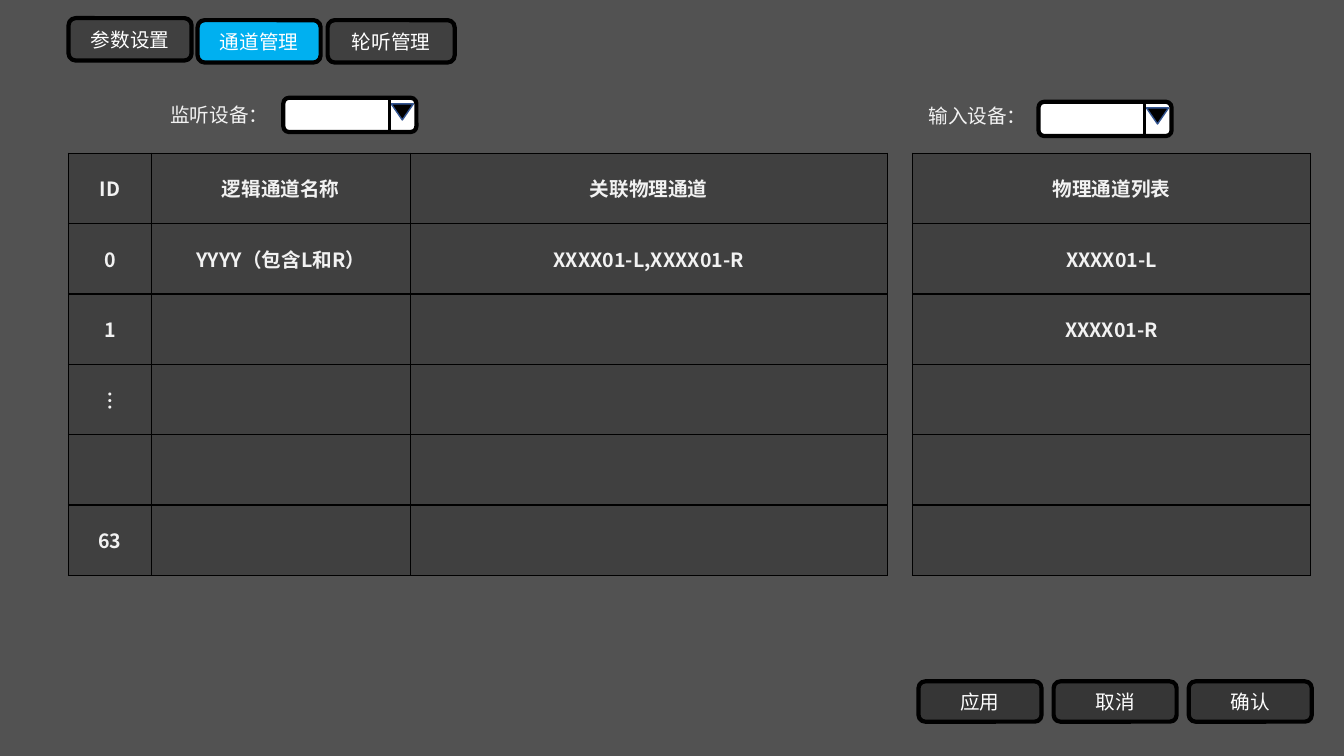
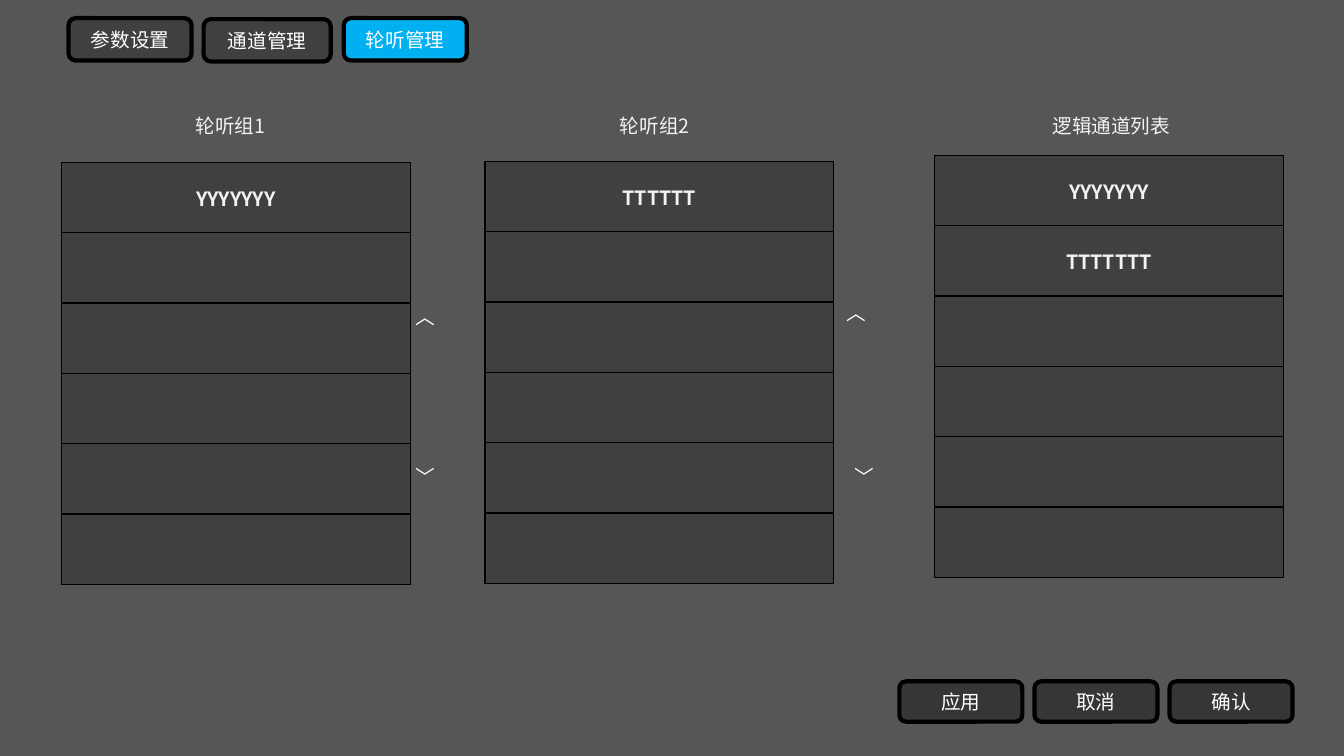
from lxml import etree
from pptx import Presentation
from pptx.dml.color import RGBColor
from pptx.enum import shapes, text
from pptx.oxml.ns import qn
from pptx.util import Inches, Pt

FONT = "Noto Sans CJK SC"
BLACK, WHITE, LIGHT = "000000", "FFFFFF", "F2F2F2"
PANEL, BUTTON, ACTIVE = "404040", "363636", "00B0F0"
ROWS, ROW_H = 6, 4.19 / 6
BUTTON_W, BUTTON_PITCH = 1.22, 1.34
TABLE_W = 3.46


def rgb(value):
    return RGBColor.from_string(value)


def write(tf, content, color=LIGHT, size=14, bold=False, align=None):
    p = tf.paragraphs[0]
    p.alignment = align
    r = p.add_run()
    r.text = content
    font = r.font
    font.name, font.size, font.bold = FONT, Pt(size), bold
    font.color.rgb = rgb(color)
    etree.SubElement(r._r.get_or_add_rPr(), qn("a:ea"), typeface=FONT)


def add_label(s, x, y, w, content, color=LIGHT, wrap=True):
    tf = s.shapes.add_textbox(Inches(x), Inches(y), Inches(w), Inches(0.34)).text_frame
    tf.word_wrap = wrap
    tf.auto_size = text.MSO_AUTO_SIZE.SHAPE_TO_FIT_TEXT
    write(tf, content, color)


def add_box(s, kind, x, y, w, h, fill, line=BLACK, width=3):
    sp = s.shapes.add_shape(kind, Inches(x), Inches(y), Inches(w), Inches(h))
    sp.shadow.inherit = False
    sp.fill.solid()
    sp.fill.fore_color.rgb = rgb(fill)
    sp.line.color.rgb = rgb(line)
    sp.line.width = Pt(width)
    return sp


def add_button(s, x, y, w, h, caption, fill):
    sp = add_box(s, shapes.MSO_SHAPE.ROUNDED_RECTANGLE, x, y, w, h, fill)
    tf = sp.text_frame
    tf.vertical_anchor = text.MSO_ANCHOR.MIDDLE
    write(tf, caption, WHITE, align=text.PP_ALIGN.CENTER)


def add_tabs(s, tabs, active):
    for caption, x, y, w in tabs:
        add_button(s, x, y, w, 0.42, caption, ACTIVE if caption == active else PANEL)


def add_actions(s, x):
    for i, caption in enumerate(["应用", "取消", "确认"]):
        add_button(s, x + i * BUTTON_PITCH, 6.76, BUTTON_W, 0.4, caption, BUTTON)


def add_dropdown(s, x, y):
    add_box(s, shapes.MSO_SHAPE.ROUNDED_RECTANGLE, x, y, 1.32, 0.34, WHITE)
    arrow = add_box(s, shapes.MSO_SHAPE.ISOSCELES_TRIANGLE, x + 1.07, y + 0.06,
                    0.22, 0.16, BLACK, "325491", 1)
    arrow.rotation = 180
    divider = s.shapes.add_connector(shapes.MSO_CONNECTOR.STRAIGHT, Inches(x + 1.05),
                                     Inches(y), Inches(x + 1.05), Inches(y + 0.34))
    divider.line.color.rgb = rgb(BLACK)
    divider.line.width = Pt(2)
    etree.SubElement(divider._element.spPr, qn("a:effectLst"))


def add_borders(cell):
    tcPr = cell._tc.get_or_add_tcPr()
    for side in ("lnL", "lnR", "lnT", "lnB"):
        ln = etree.SubElement(tcPr, qn(f"a:{side}"), w=str(Pt(1)))
        fill = etree.SubElement(ln, qn("a:solidFill"))
        etree.SubElement(fill, qn("a:srgbClr"), val=BLACK)


def add_grid(s, x, y, widths, rows):
    frame = s.shapes.add_table(ROWS, len(widths), Inches(x), Inches(y),
                               Inches(sum(widths)), Inches(ROWS * ROW_H))
    table = frame.table
    table.first_row = table.horz_banding = False
    for column, width in zip(table.columns, widths):
        column.width = Inches(width)
    for cell in table.iter_cells():
        add_borders(cell)
        cell.fill.solid()
        cell.fill.fore_color.rgb = rgb(PANEL)
        cell.vertical_anchor = text.MSO_ANCHOR.MIDDLE
    for i, row in enumerate(rows):
        for j, content in enumerate(row):
            if content:
                write(table.cell(i, j).text_frame, content, bold=True,
                      align=text.PP_ALIGN.CENTER)


def add_slide(prs, background):
    s = prs.slides.add_slide(prs.slide_layouts[6])
    s.background.fill.solid()
    s.background.fill.fore_color.rgb = rgb(background)
    return s


def build_channels(prs):
    s = add_slide(prs, "525252")
    add_grid(s, 0.68, 1.52, [0.82, 2.57, 4.73], [
        ["ID", "逻辑通道名称", "关联物理通道"],
        ["0", "YYYY（包含L和R）", "XXXX01-L,XXXX01-R"],
        ["1"], ["︙"], [], ["63"],
    ])
    add_grid(s, 9.05, 1.52, [3.95], [["物理通道列表"], ["XXXX01-L"], ["XXXX01-R"]])
    add_label(s, 9.11, 0.98, 1.84, "输入设备：")
    add_label(s, 1.59, 0.97, 1.22, "监听设备：")
    add_dropdown(s, 2.81, 0.97)
    add_dropdown(s, 10.3, 1.01)
    add_actions(s, 9.11)
    add_tabs(s, [("参数设置", 0.68, 0.18, 1.22), ("通道管理", 1.96, 0.2, 1.22),
                 ("轮听管理", 3.25, 0.2, 1.26)], "通道管理")


def build_rotation(prs):
    s = add_slide(prs, "565656")
    groups = [
        ("轮听组1", 1.84, 0.61, 1.61, ["YYYYYYY"]),
        ("轮听组2", 6.05, 4.81, 1.6, ["TTTTTT"]),
        ("逻辑通道列表", 10.34, 9.27, 1.54, ["YYYYYYY", "TTTTTTT"]),
    ]
    for heading, label_x, x, y, names in groups:
        add_label(s, label_x, 1.08, 1.84, heading)
        add_grid(s, x, y, [TABLE_W], [[name] for name in names])
    for x, y, mark in [(4.02, 2.98, "︿"), (4.02, 4.56, "﹀"),
                       (8.3, 2.94, "︿"), (8.38, 4.56, "﹀")]:
        add_label(s, x, y, 0.4, mark, WHITE, wrap=False)
    add_actions(s, 8.92)
    add_tabs(s, [("参数设置", 0.68, 0.18, 1.22), ("通道管理", 2.02, 0.19, 1.26),
                 ("轮听管理", 3.41, 0.18, 1.22)], "轮听管理")


def main():
    prs = Presentation()
    prs.slide_width, prs.slide_height = Inches(13.33), Inches(7.5)
    build_channels(prs)
    build_rotation(prs)
    prs.save("out.pptx")


if __name__ == "__main__":
    main()
